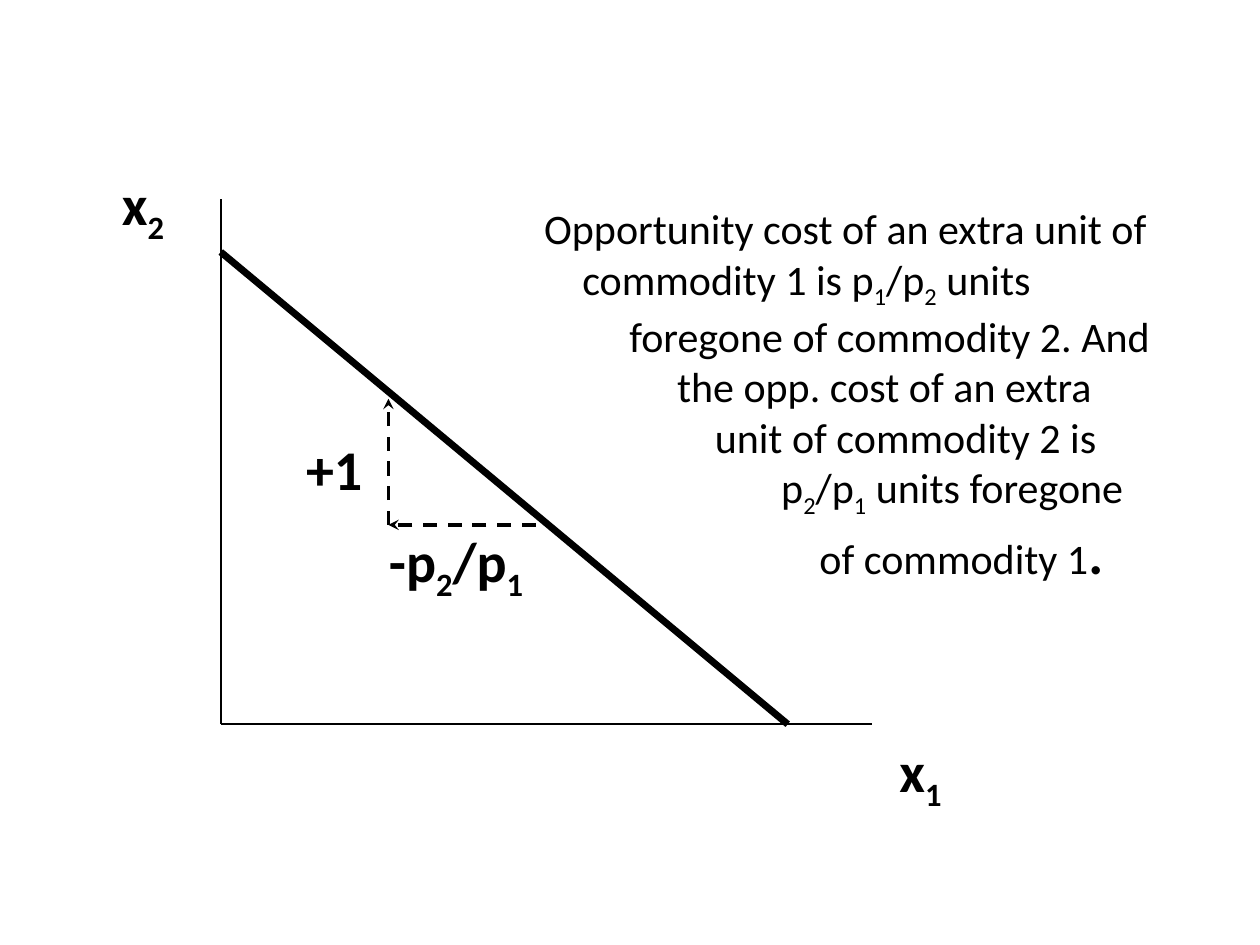
"""Build a slide showing opportunity cost along a budget line."""
from lxml import etree
from pptx import Presentation
from pptx.dml.color import RGBColor
from pptx.enum.dml import MSO_LINE
from pptx.enum.shapes import MSO_CONNECTOR
from pptx.oxml.ns import qn
from pptx.util import Cm, Pt

STRAIGHT = MSO_CONNECTOR.STRAIGHT
DASH = MSO_LINE.DASH
BLACK = RGBColor(0, 0, 0)
FONT = "Calibri"


def add_line(page, start, end, width, arrow=False):
    """Draw a straight line, or a dashed arrow."""
    line = page.shapes.add_connector(STRAIGHT, *map(Cm, start + end))
    line.line.color.rgb = BLACK
    line.line.width = Pt(width)
    if arrow:
        line.line.dash_style = DASH
        outline = line.line._get_or_add_ln()
        etree.SubElement(outline, qn("a:tailEnd"), type="stealth")
    etree.SubElement(line._element.spPr, qn("a:effectLst"))


def add_spans(para, text, size, bold=False):
    """Write text in which an underscore lowers the next character."""
    first, *rest = text.split("_")
    pieces = [(first, False)]
    for part in rest:
        pieces += [(part[0], True), (part[1:], False)]
    for piece, lowered in pieces:
        if piece:
            span = para.add_run()
            span.text = piece
            span.font.name = FONT
            span.font.size = Pt(size)
            span.font.bold = bold
            span.font.color.rgb = BLACK
            if lowered:
                span.font._element.set("baseline", "-25000")


deck = Presentation()
deck.slide_width, deck.slide_height = Cm(25.4), Cm(19.05)
page = deck.slides.add_slide(deck.slide_layouts[6])

origin = (4.45, 14.6)
corner = (7.83, 10.58)
add_line(page, (4.45, 4.02), origin, 1)
add_line(page, origin, (17.57, 14.6), 1)
add_line(page, (4.45, 5.08), (15.88, 14.6), 4)
add_line(page, (10.8, 10.58), corner, 2, arrow=True)
add_line(page, corner, (7.83, 8.04), 2, arrow=True)

labels = [
    ("x_2", 2.21, 3.3, 1.7, 1.8),
    ("x_1", 17.88, 14.73, 1.7, 1.8),
    ("-p_2/p_1", 7.59, 10.49, 3.91, 1.8),
    ("+1", 5.92, 8.64, 2.24, 1.6),
]
for text, *place in labels:
    box = page.shapes.add_textbox(*map(Cm, place))
    box.text_frame.word_wrap = False
    add_spans(box.text_frame.paragraphs[0], text, 32, bold=True)

explanation = [
    ("Opportunity cost of an extra unit of", 0),
    ("commodity 1 is p_1/p_2 units", 0.77),
    ("foregone of commodity 2. And", 1.72),
    ("the opp. cost of an extra", 2.68),
    ("unit of commodity 2 is", 3.44),
    ("p_2/p_1 units foregone", 4.78),
    ("of commodity 1", 5.55),
]
box = page.shapes.add_textbox(Cm(10.72), Cm(3.96), Cm(14.68), Cm(14.07))
frame = box.text_frame
frame.word_wrap = True
for index, (text, indent) in enumerate(explanation):
    para = frame.add_paragraph() if index else frame.paragraphs[0]
    properties = para._p.get_or_add_pPr()
    properties.set("marL", str(Cm(indent)))
    properties.set("indent", "0")
    add_spans(para, text, 24)
add_spans(para, ".", 32, bold=True)

deck.save("out.pptx")
